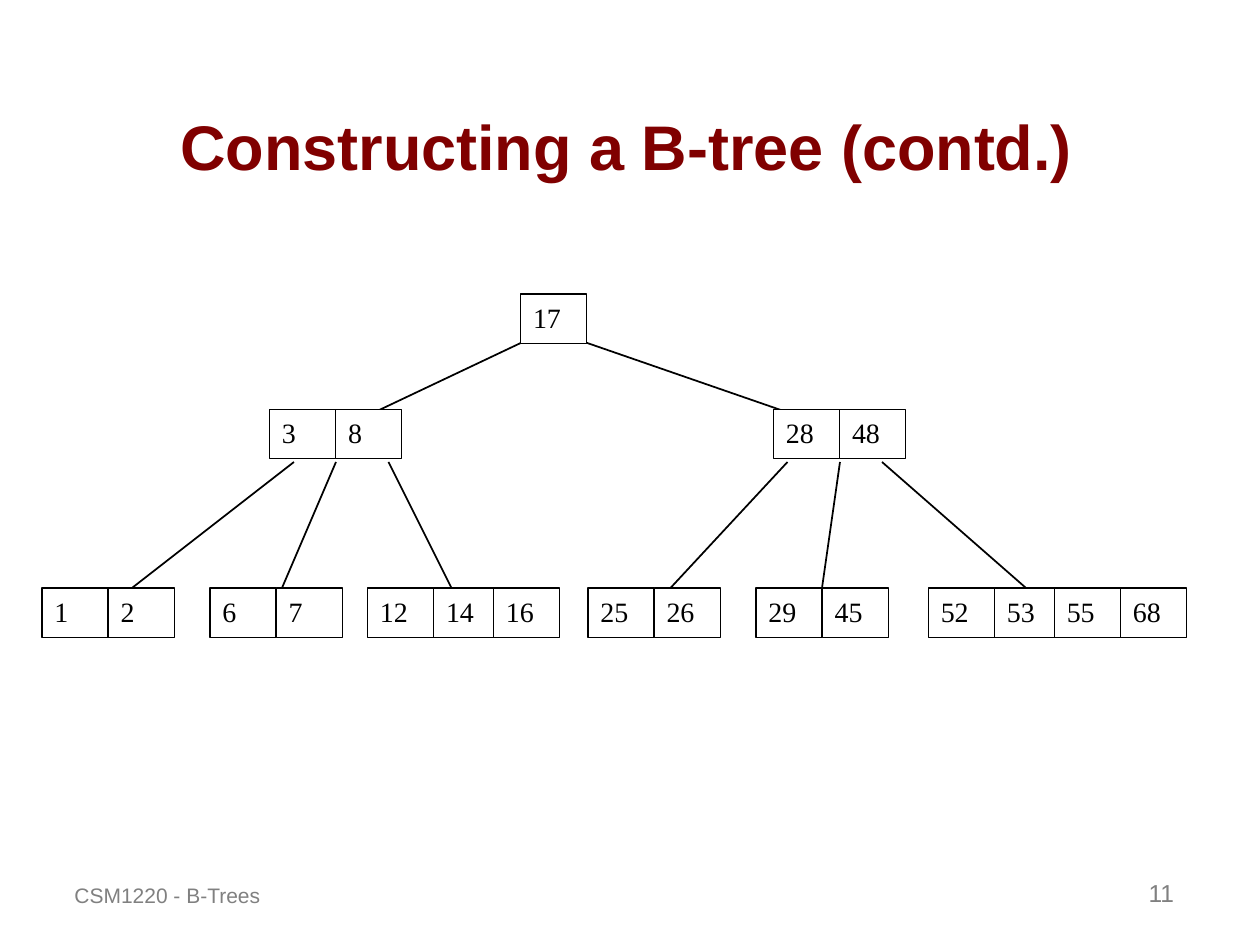
from dataclasses import dataclass

from pptx import Presentation
from pptx.dml.color import RGBColor as RGB
from pptx.enum.shapes import MSO_CONNECTOR as Link, MSO_SHAPE as Kind
from pptx.enum.text import MSO_ANCHOR as Anchor, MSO_AUTO_SIZE as Fit, PP_ALIGN as Align
from pptx.oxml.ns import qn
from pptx.util import Pt
from lxml.etree import SubElement


@dataclass(frozen=True)
class Theme:
    ink: RGB = RGB(0, 0, 0)
    paper: RGB = RGB(255, 255, 255)
    head: RGB = RGB(128, 0, 0)
    faint: RGB = RGB(128, 128, 128)
    sans: str = "Arial"
    serif: str = "Times New Roman"
    title: int = 36
    key: int = 16
    page: int = 14
    foot: int = 12
    edge: float = 1
    rim: float = 0.75


def write(shape, text, *, font, size, color, bold=False,
          align=Align.LEFT, anchor=Anchor.TOP):
    frame = shape.text_frame
    frame.word_wrap = True
    frame.auto_size = Fit.NONE
    frame.vertical_anchor = anchor
    para = frame.paragraphs[0]
    para.alignment = align
    run = para.add_run()
    run.text = text
    run.font.name, run.font.size, run.font.bold = font, Pt(size), bold
    run.font.color.rgb = color


class Deck:
    def __init__(self, theme):
        self.theme = theme
        self.show = Presentation()
        self.show.slide_width, self.show.slide_height = Pt(720), Pt(540)
        self.slide = self.show.slides.add_slide(self.show.slide_layouts[5])

    def title(self, text, x, y, w, h):
        t = self.theme
        box = self.slide.shapes.title
        box.left, box.top, box.width, box.height = map(Pt, (x, y, w, h))
        write(box, text, font=t.sans, size=t.title, color=t.head, bold=True,
              align=Align.CENTER, anchor=Anchor.BOTTOM)

    def label(self, text, x, y, w, h, size, align=Align.LEFT):
        t = self.theme
        box = self.slide.shapes.add_textbox(*map(Pt, (x, y, w, h)))
        write(box, text, font=t.sans, size=size, color=t.faint,
              align=align, anchor=Anchor.BOTTOM)

    def edge(self, x1, y1, x2, y2):
        line = self.slide.shapes.add_connector(Link.STRAIGHT, *map(Pt, (x1, y1, x2, y2)))
        line.line.color.rgb = self.theme.ink
        line.line.width = Pt(self.theme.edge)
        SubElement(line._element.spPr, qn("a:effectLst"))

    def cell(self, text, x, y, w, h):
        t = self.theme
        box = self.slide.shapes.add_shape(Kind.RECTANGLE, *map(Pt, (x, y, w, h)))
        box.shadow.inherit = False
        box.fill.solid()
        box.fill.fore_color.rgb = t.paper
        box.line.color.rgb = t.ink
        box.line.width = Pt(t.rim)
        write(box, text, font=t.serif, size=t.key, color=t.ink)

    def node(self, keys, x, y):
        """Draw a row of keys; each pair starts 72 pt after the last and overlaps it."""
        wide, tall, pair = 37.8, 28.2, 72
        for i, key in enumerate(keys):
            self.cell(str(key), x + i // 2 * pair + i % 2 * wide, y, wide, tall)


# Each level: top, then the left and keys of its nodes
LEVELS = [
    (168, [(297.5, [17])]),
    (234, [(154, [3, 8]), (442, [28, 48])]),
    (336, [(24, [1, 2]), (120, [6, 7]), (210, [12, 14, 16]),
           (336, [25, 26]), (432, [29, 45]), (530.5, [52, 53, 55, 68])]),
]
# Each fan of edges: start y, end y, then pairs of start x and end x
EDGES = [
    (264, 348, [(168, 60), (192, 156), (222, 264),
                (450, 372), (480, 468), (504, 600)]),
    (192, 246, [(306, 192), (324, 480)]),
]


def main():
    theme = Theme()
    deck = Deck(theme)
    deck.title("Constructing a B-tree (contd.)", 32, 18, 652, 90)
    for y1, y2, ends in EDGES:
        for x1, x2 in ends:
            deck.edge(x1, y1, x2, y2)
    for y, nodes in LEVELS:
        for x, keys in nodes:
            deck.node(keys, x, y)
    deck.label("CSM1220 - B-Trees", 35.5, 486, 216, 36, theme.foot)
    deck.label("11", 528, 486, 150, 36, theme.page, Align.RIGHT)
    deck.show.save("out.pptx")


if __name__ == "__main__":
    main()
